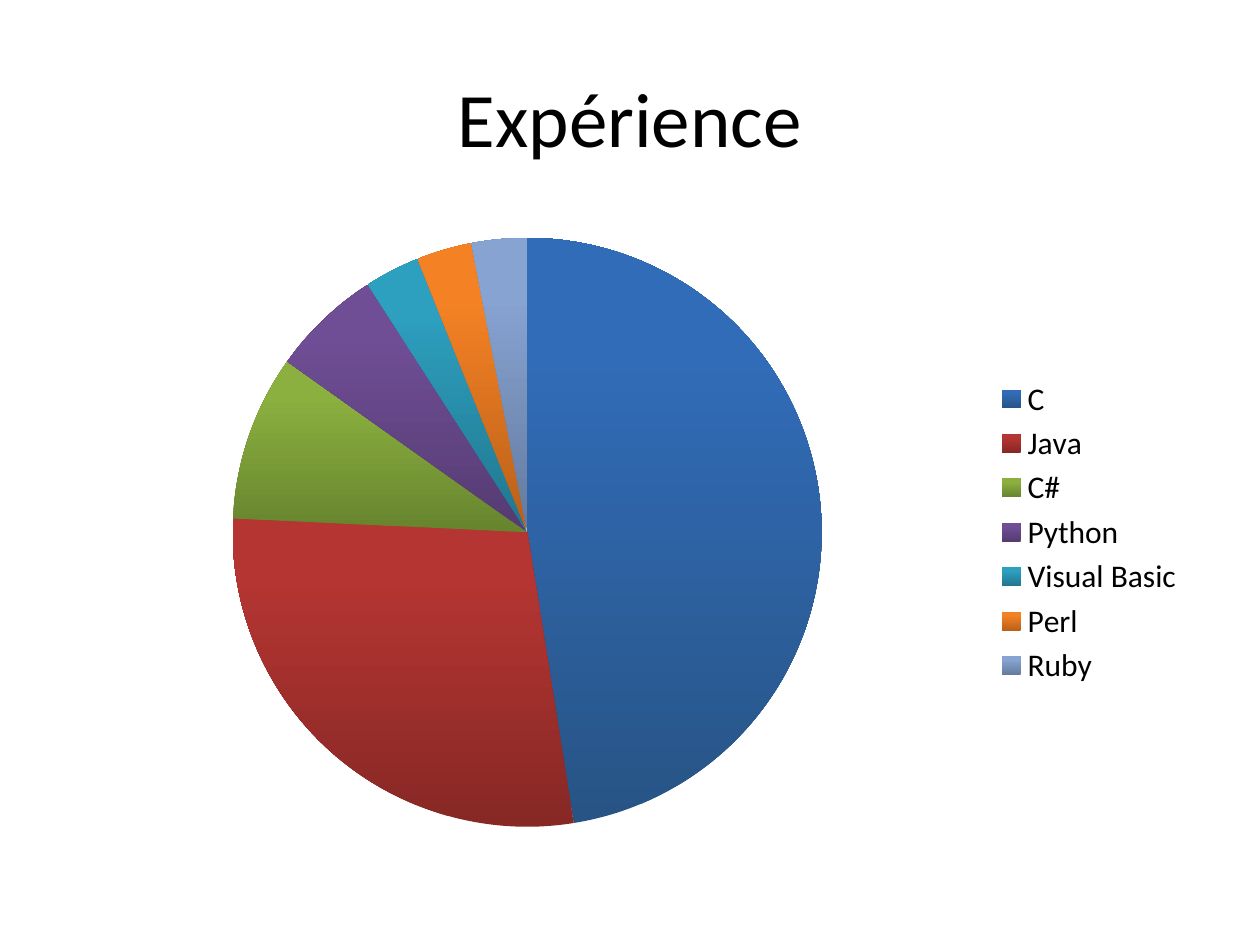
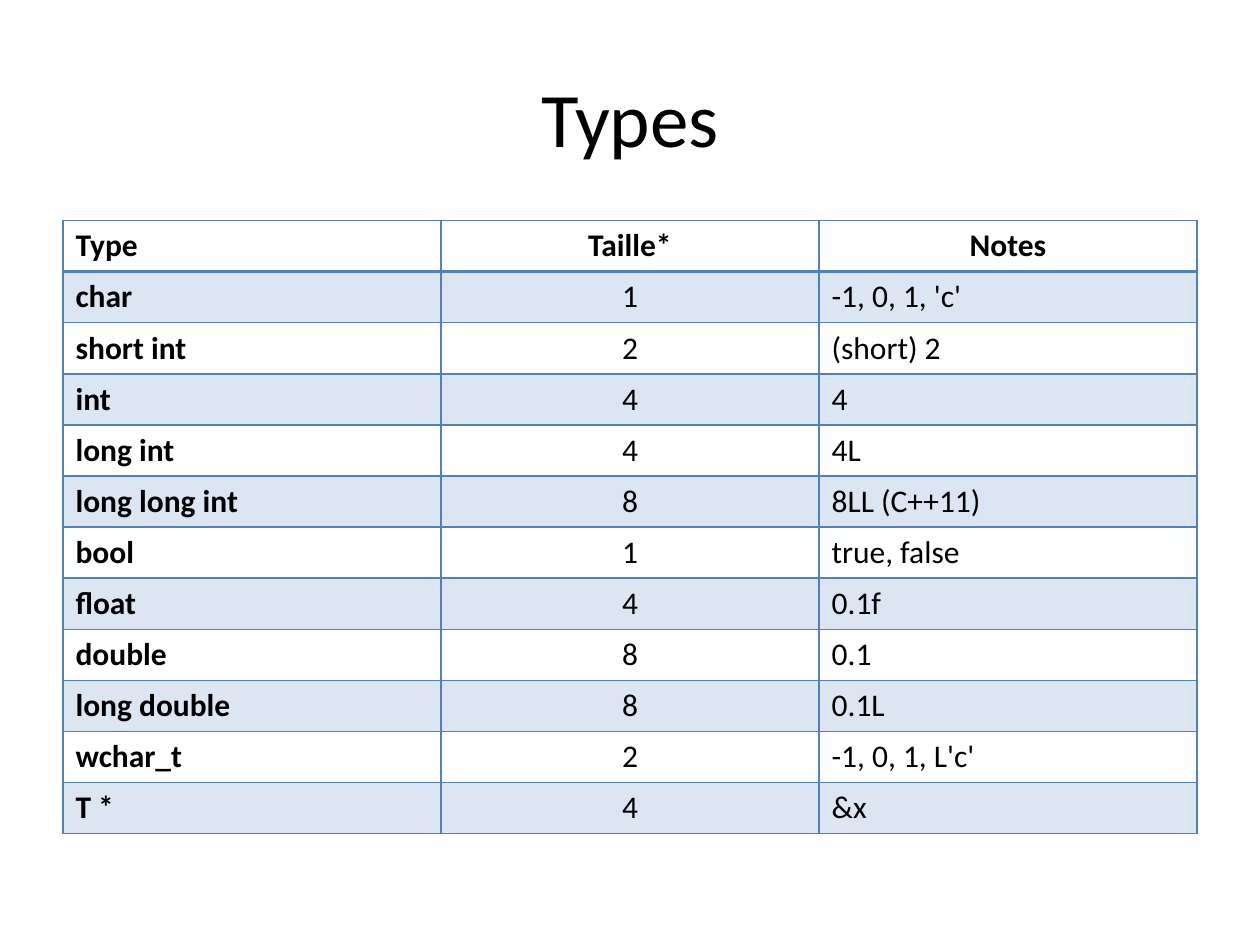
from lxml.etree import SubElement
from pptx import Presentation
from pptx.chart.data import CategoryChartData
from pptx.dml.color import RGBColor
from pptx.enum.chart import XL_CHART_TYPE, XL_LEGEND_POSITION
from pptx.enum.text import MSO_ANCHOR, PP_ALIGN
from pptx.oxml.ns import qn
from pptx.util import Pt

PX = 9144  # EMU per px, 100 px to the inch
SLIDE_SIZE = (1000, 750)
TITLE_BOX = (50, 30, 900, 125)
CHART_BOX = (50, 175, 900, 495)
TABLE_BOX = (50, 175, 900, 487)

FONT = "Calibri"
TITLE_SIZE, BODY_SIZE = Pt(44), Pt(18)
BLACK = RGBColor(0x00, 0x00, 0x00)
GRID_BLUE = RGBColor(0x4F, 0x81, 0xBD)
BAND_BLUE = RGBColor(0xDC, 0xE6, 0xF2)

# language, share, slice colour at the top, slice colour at the bottom
EXPERIENCE = [
    ("C", 47, RGBColor(0x31, 0x6C, 0xB8), RGBColor(0x28, 0x54, 0x85)),
    ("Java", 28, RGBColor(0xB4, 0x35, 0x32), RGBColor(0x87, 0x28, 0x25)),
    ("C#", 9, RGBColor(0x8B, 0xB0, 0x3F), RGBColor(0x67, 0x84, 0x2E)),
    ("Python", 6, RGBColor(0x70, 0x4E, 0x96), RGBColor(0x55, 0x3B, 0x72)),
    ("Visual Basic", 3, RGBColor(0x2D, 0x9F, 0xBF), RGBColor(0x21, 0x76, 0x8E)),
    ("Perl", 3, RGBColor(0xF4, 0x81, 0x24), RGBColor(0xB9, 0x60, 0x19)),
    ("Ruby", 3, RGBColor(0x87, 0xA3, 0xD2), RGBColor(0x64, 0x7A, 0x9E)),
]

TYPES = [
    ("Type", "Taille*", "Notes"),
    ("char", "1", "-1, 0, 1, 'c'"),
    ("short int", "2", "(short) 2"),
    ("int", "4", "4"),
    ("long int", "4", "4L"),
    ("long long int", "8", "8LL (C++11)"),
    ("bool", "1", "true, false"),
    ("float", "4", "0.1f"),
    ("double", "8", "0.1"),
    ("long double", "8", "0.1L"),
    ("wchar_t", "2", "-1, 0, 1, L'c'"),
    ("T *", "4", "&x"),
]


def emu(box):
    return [length * PX for length in box]


def style_font(font, size, bold=False):
    font.name, font.size, font.bold = FONT, size, bold
    font.color.rgb = BLACK


def add_titled_slide(prs, title):
    slide = prs.slides.add_slide(prs.slide_layouts[6])
    frame = slide.shapes.add_textbox(*emu(TITLE_BOX)).text_frame
    frame.word_wrap = True
    frame.vertical_anchor = MSO_ANCHOR.MIDDLE
    frame.text = title
    heading = frame.paragraphs[0]
    heading.alignment = PP_ALIGN.CENTER
    style_font(heading.runs[0].font, TITLE_SIZE)
    return slide


def shade_slice(point, top, bottom):
    """Fade a slice from its top colour down to its bottom colour."""
    fill = point.format.fill
    fill.gradient()
    fill.gradient_angle = 90
    for stop, position, colour in zip(fill.gradient_stops, (0, 0.8), (bottom, top)):
        stop.position = position
        stop.color.rgb = colour
    point.format.line.fill.background()


def add_experience_pie(slide, box):
    shares = CategoryChartData()
    shares.categories = [language for language, *_ in EXPERIENCE]
    shares.add_series("Series 1", [share for _, share, *_ in EXPERIENCE])
    chart = slide.shapes.add_chart(XL_CHART_TYPE.PIE, *emu(box), shares).chart
    chart.has_title = False
    chart.has_legend = True
    chart.legend.position = XL_LEGEND_POSITION.RIGHT
    chart.legend.include_in_layout = False
    style_font(chart.font, BODY_SIZE)
    pie = chart.plots[0]
    pie.vary_by_categories = True
    for index, (_, _, top, bottom) in enumerate(EXPERIENCE):
        shade_slice(pie.series[0].points[index], top, bottom)


def add_cell_border(cell, side, width):
    line = SubElement(cell._tc.get_or_add_tcPr(), qn(f"a:ln{side}"), w=str(Pt(width)))
    fill = SubElement(line, qn("a:solidFill"))
    SubElement(fill, qn("a:srgbClr"), val=str(GRID_BLUE))


def fill_cell(cell, text, row, column):
    cell.text = text
    paragraph = cell.text_frame.paragraphs[0]
    is_header = row == 0
    if column == 1 or (is_header and column > 0):
        paragraph.alignment = PP_ALIGN.CENTER
    if column == 1 and not is_header:
        cell.vertical_anchor = MSO_ANCHOR.MIDDLE
    style_font(paragraph.runs[0].font, BODY_SIZE, bold=is_header or column == 0)

    add_cell_border(cell, "L", 1)
    add_cell_border(cell, "R", 1)
    add_cell_border(cell, "T", 2 if row == 1 else 1)
    add_cell_border(cell, "B", 2 if is_header else 1)
    if row % 2:
        cell.fill.solid()
        cell.fill.fore_color.rgb = BAND_BLUE
    else:
        cell.fill.background()


def add_types_table(slide, box):
    left, top, width, height = emu(box)
    row_count, column_count = len(TYPES), len(TYPES[0])
    table = slide.shapes.add_table(
        row_count, column_count, left, top, width, height).table
    table.first_row = table.horz_banding = False
    for table_row in table.rows:
        table_row.height = height // row_count
    for row, texts in enumerate(TYPES):
        for column, text in enumerate(texts):
            fill_cell(table.cell(row, column), text, row, column)


def main():
    prs = Presentation()
    prs.slide_width, prs.slide_height = emu(SLIDE_SIZE)
    add_experience_pie(add_titled_slide(prs, "Expérience"), CHART_BOX)
    add_types_table(add_titled_slide(prs, "Types"), TABLE_BOX)
    prs.save("out.pptx")


if __name__ == "__main__":
    main()
